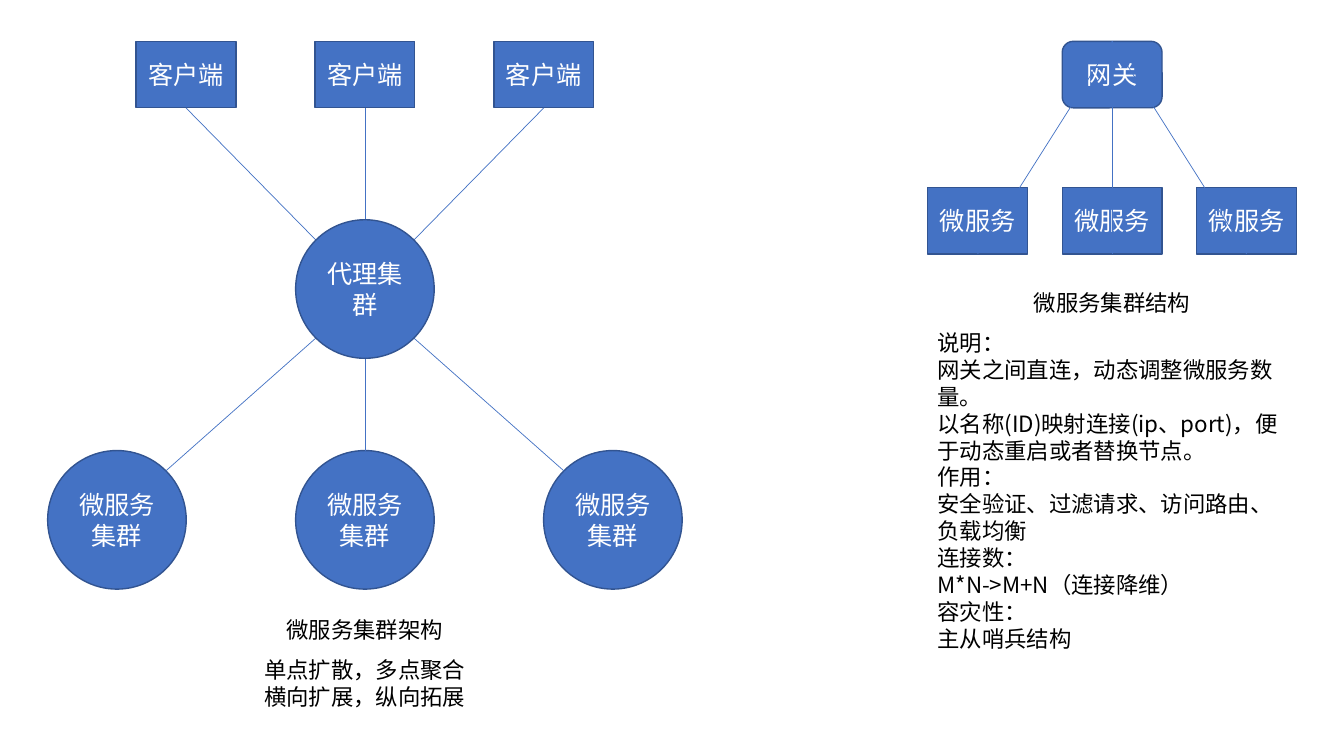
from math import sqrt

from lxml.etree import SubElement
from pptx import Presentation
from pptx.dml.color import RGBColor as Rgb
from pptx.enum.shapes import MSO_CONNECTOR as Link, MSO_SHAPE as Form
from pptx.enum.text import MSO_ANCHOR as Anchor, MSO_AUTO_SIZE as Fit, PP_ALIGN as Align
from pptx.oxml.ns import qn
from pptx.util import Inches, Pt

THEME = {
    "font": "Noto Sans CJK SC",
    "fill": Rgb.from_string("4472C4"),
    "outline": Rgb.from_string("325491"),
    "light": Rgb.from_string("FFFFFF"),
    "dark": Rgb.from_string("000000"),
    "node_size": Pt(18),
    "note_size": Pt(16),
    "outline_width": Pt(1),
    "link_width": Pt(0.5),
}

deck = Presentation()
deck.slide_width, deck.slide_height = Inches(13.33), Inches(7.5)
slide = deck.slides.add_slide(deck.slide_layouts[6])
column, row = deck.slide_width / 100, deck.slide_height / 100


def place(lines, center, top, size, form=None, align=Align.CENTER):
    width, height = size
    box = [int(v) for v in ((center - width / 2) * column, top * row, width * column, height * row)]
    if form is None:
        part = slide.shapes.add_textbox(*box)
        color, type_size, fit = THEME["dark"], THEME["note_size"], Fit.SHAPE_TO_FIT_TEXT
    else:
        part = slide.shapes.add_shape(form, *box)
        color, type_size, fit = THEME["light"], THEME["node_size"], Fit.NONE
        part.shadow.inherit = False
        part.fill.solid()
        part.fill.fore_color.rgb = THEME["fill"]
        part.line.color.rgb = THEME["outline"]
        part.line.width = THEME["outline_width"]
    frame = part.text_frame
    frame_format = {"word_wrap": True, "auto_size": fit, "vertical_anchor": Anchor.MIDDLE}
    for name, value in frame_format.items():
        setattr(frame, name, value)
    for number, line in enumerate(lines):
        paragraph = frame.add_paragraph() if number else frame.paragraphs[0]
        paragraph.alignment = align
        run = paragraph.add_run()
        run.text = line
        run.font.color.rgb = color
        for name, value in {"name": THEME["font"], "size": type_size}.items():
            setattr(run.font, name, value)
        SubElement(run.font._element, qn("a:ea"), typeface=THEME["font"])


def connect(start, end):
    ends = [int(v) for x, y in (start, end) for v in (x * column, y * row)]
    link = slide.shapes.add_connector(Link.STRAIGHT, *ends)
    link.line.color.rgb = THEME["fill"]
    link.line.width = THEME["link_width"]
    SubElement(link._element.spPr, qn("a:effectLst"))


box_size = (7.43, 8.8)
circle_size = (10.31, 18.33)
proxy_center, gateway_center = 27.15, 82.75
client_pitch, cluster_pitch, service_pitch = 13.31, 18.45, 10.01
top_row, proxy_top, cluster_top, service_top = 5.47, 29.07, 59.6, 24.8
proxy_middle = proxy_top + circle_size[1] / 2
reach_x, reach_y = (side / 2 / sqrt(2) for side in circle_size)
corner_drop = circle_size[1] / 2 - reach_y

for side in (-1, 0, 1):
    client = proxy_center + side * client_pitch
    cluster = proxy_center + side * cluster_pitch
    place(["客户端"], client, top_row, box_size, Form.RECTANGLE)
    place(["微服务集群"], cluster, cluster_top, circle_size, Form.OVAL)
    proxy_x = proxy_center + side * reach_x
    proxy_reach = reach_y if side else circle_size[1] / 2
    cluster_end = (cluster - side * reach_x, cluster_top + abs(side) * corner_drop)
    connect((client, top_row + box_size[1]), (proxy_x, proxy_middle - proxy_reach))
    connect(cluster_end, (proxy_x, proxy_middle + proxy_reach))
place(["代理集群"], proxy_center, proxy_top, circle_size, Form.OVAL)

place(["网关"], gateway_center, top_row, box_size, Form.ROUNDED_RECTANGLE)
for side in (-1, 0, 1):
    service = gateway_center + side * service_pitch
    place(["微服务"], service, service_top, box_size, Form.RECTANGLE)
    connect((service, service_top + box_size[1]), (gateway_center, top_row))

title_size = (14.03, 4.93)
place(["微服务集群架构"], proxy_center, 80.8, title_size)
place(["单点扩散，多点聚合", "横向扩展，纵向拓展"], proxy_center, 86.13, (19.2, 8.53))
place(["微服务集群结构"], gateway_center, 37.6, title_size)
explanation = [
    "说明：",
    "网关之间直连，动态调整微服务数量。",
    "以名称(ID)映射连接(ip、port)，便于动态重启或者替换节点。",
    "作用：",
    "安全验证、过滤请求、访问路由、负载均衡",
    "连接数：",
    "M*N->M+N（连接降维）",
    "容灾性：",
    "主从哨兵结构",
]
place(explanation, gateway_center, 42.67, (27.46, 44.4), align=Align.LEFT)

deck.save("out.pptx")
